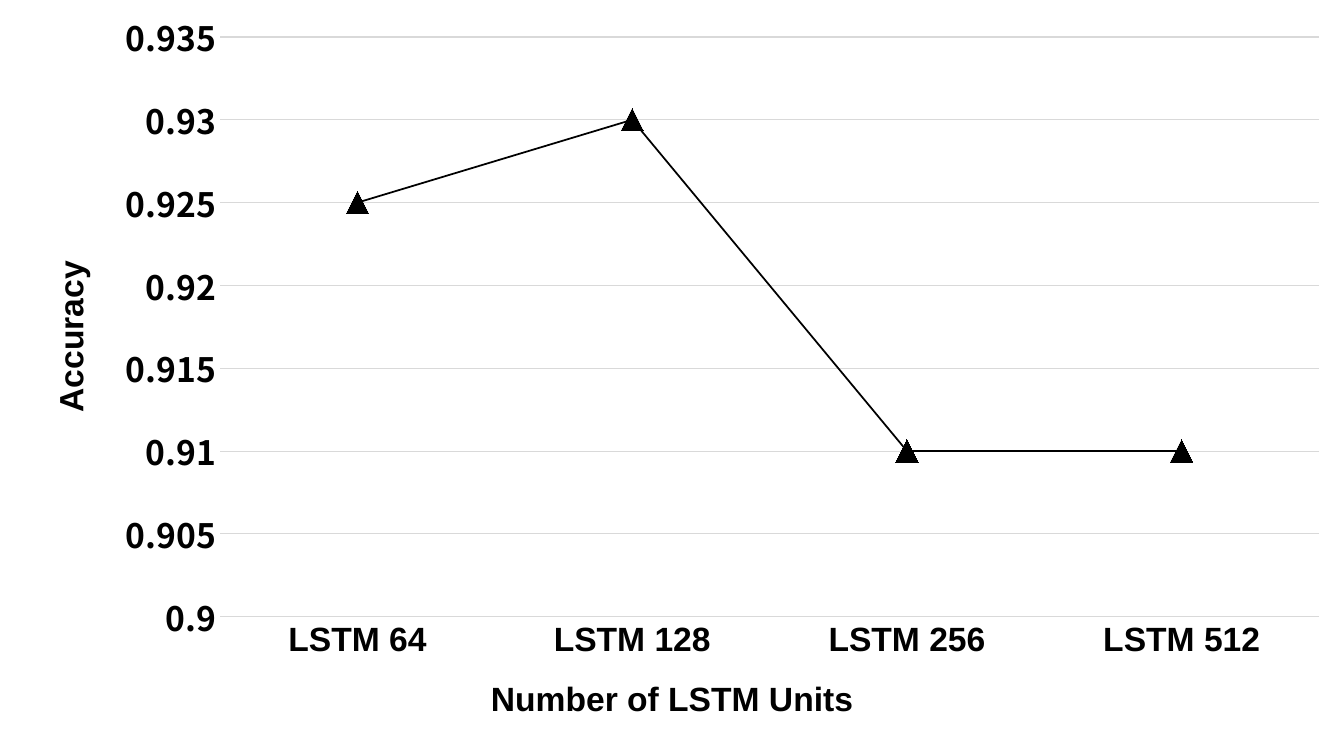
import pptx
import pptx.chart.data
import pptx.dml.color
import pptx.enum.chart
import pptx.enum.text
import pptx.oxml
import pptx.oxml.ns
import pptx.util

Inches = pptx.util.Inches
Pt = pptx.util.Pt
BLACK, GREY = "000000", "D9D9D9"
LABEL_FONT, NUMBER_FONT = "Arial", "Noto Sans CJK SC"


def paint(color_format, color):
    color_format.rgb = pptx.dml.color.RGBColor.from_string(color)


def style_font(font, name, size, bold):
    font.name, font.size, font.bold = name, Pt(size), bold
    paint(font.color, BLACK)


deck = pptx.Presentation()
deck.slide_width, deck.slide_height = Inches(13.33), Inches(7.5)
slide = deck.slides.add_slide(deck.slide_layouts[6])

# Accuracy chart
data = pptx.chart.data.CategoryChartData(number_format="General")
data.categories = [f"LSTM {units}" for units in (64, 128, 256, 512)]
data.add_series("Series 1", (0.925, 0.93, 0.91, 0.91))
chart = slide.shapes.add_chart(
    pptx.enum.chart.XL_CHART_TYPE.LINE_MARKERS,
    Inches(1), Inches(0), Inches(12.33), Inches(6.68), data).chart
chart.has_legend = False
chart.has_title = False
style_font(chart.font, NUMBER_FONT, 10, False)

# Axes
units_axis, accuracy_axis = chart.category_axis, chart.value_axis
for axis, font_name in ((units_axis, LABEL_FONT), (accuracy_axis, NUMBER_FONT)):
    axis.major_tick_mark = pptx.enum.chart.XL_TICK_MARK.NONE
    axis.minor_tick_mark = pptx.enum.chart.XL_TICK_MARK.NONE
    style_font(axis.tick_labels.font, font_name, 24, True)
accuracy_axis.minimum_scale = 0.9
accuracy_axis.maximum_scale = 0.935
accuracy_axis.major_unit = 0.005
accuracy_axis.format.line.fill.background()
accuracy_axis.has_major_gridlines = True
for line in (units_axis.format.line, accuracy_axis.major_gridlines.format.line):
    line.fill.solid()
    paint(line.fill.fore_color, GREY)
    line.width = Pt(0.75)

# Accuracy line with triangle markers
plot = chart.plots[0]
plot.vary_by_categories = False
series = plot.series[0]
series.smooth = False
series.format.line.width = Pt(1.25)
series.marker.style = pptx.enum.chart.XL_MARKER_STYLE.TRIANGLE
series.marker.size = 16
for fill in (series.format.line.fill, series.marker.format.fill,
             series.marker.format.line.fill):
    fill.solid()
    paint(fill.fore_color, BLACK)

# Inner plot area, as fractions of the chart
plot_area = plot_area = chart.plots[0]._element.getparent()
for old_layout in plot_area.findall(pptx.oxml.ns.qn("c:layout")):
    plot_area.remove(old_layout)
position = "".join(f'<c:{key} val="{value}"/>' for key, value in (
    ("layoutTarget", "inner"), ("xMode", "edge"), ("yMode", "edge"),
    ("x", 0.096), ("y", 0.055), ("w", 0.884), ("h", 0.861)))
plot_area.insert(0, pptx.oxml.parse_xml(
    f'<c:layout {pptx.oxml.ns.nsdecls("c")}>'
    f'<c:manualLayout>{position}</c:manualLayout></c:layout>'))

# Axis titles
for wording, left, top, rotation in (
        ("Number of LSTM Units", 4.02, 6.68, 0), ("Accuracy", -1.95, 3.09, 270)):
    box = slide.shapes.add_textbox(Inches(left), Inches(top), Inches(5.29), Inches(0.5))
    box.rotation = rotation
    box.text_frame.word_wrap = True
    box.text_frame.auto_size = pptx.enum.text.MSO_AUTO_SIZE.SHAPE_TO_FIT_TEXT
    para = box.text_frame.paragraphs[0]
    para.text = wording
    para.alignment = pptx.enum.text.PP_ALIGN.CENTER
    style_font(para.font, LABEL_FONT, 24, True)

deck.save("out.pptx")
